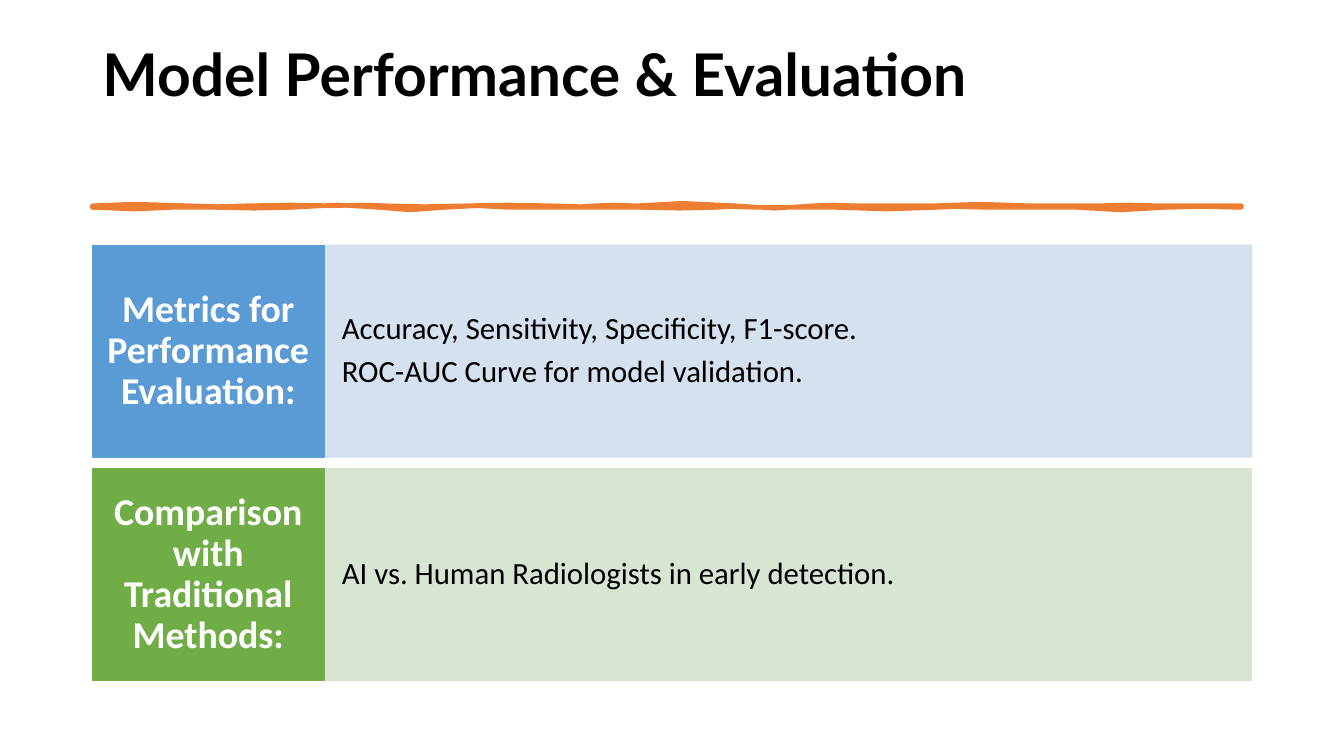
from lxml import etree
from pptx import Presentation
from pptx.dml.color import RGBColor
from pptx.enum.shapes import MSO_SHAPE
from pptx.enum.text import MSO_ANCHOR, MSO_AUTO_SIZE, PP_ALIGN
from pptx.oxml.ns import qn
from pptx.util import Pt

PX = 7620  # 120 to the inch
RECT = MSO_SHAPE.RECTANGLE
TOP, MIDDLE = MSO_ANCHOR.TOP, MSO_ANCHOR.MIDDLE
LEFT, CENTER = PP_ALIGN.LEFT, PP_ALIGN.CENTER
FIXED = MSO_AUTO_SIZE.NONE

THEME = {
    "ink": "000000", "paper": "FFFFFF", "rule": "ED7D31",
    "title": {"name": "Lato", "size": Pt(42), "bold": True},
    "head": {"name": "Calibri", "size": Pt(27), "bold": True},
    "item": {"name": "Calibri", "size": Pt(22), "bold": False},
}


def paint(shape, color, width, alpha=100):
    """Give a shape one colour for fill and line."""
    shape.shadow.inherit = False
    shape.fill.solid()
    shape.line.width = Pt(width)
    for part in (shape.fill.fore_color, shape.line.color):
        part.rgb = RGBColor.from_string(color)
    if alpha < 100:
        for node in shape._element.spPr.iter(qn("a:srgbClr")):
            etree.SubElement(node, qn("a:alpha")).set("val", str(alpha * 1000))


def write(shape, lines, font, color, align, anchor, inset, after=0):
    """Fill a shape with formatted paragraphs."""
    frame = shape.text_frame
    side, edge = inset
    form = {"word_wrap": True, "auto_size": FIXED, "vertical_anchor": anchor,
            "margin_left": side * PX, "margin_right": side * PX,
            "margin_top": edge * PX, "margin_bottom": edge * PX}
    for key, value in form.items():
        setattr(frame, key, value)
    frame.text = "\n".join(lines)
    for para in frame.paragraphs:
        para.alignment = align
        para.line_spacing = 0.9
        para.space_after = Pt(after)
        run = para.runs[0]
        for key, value in THEME[font].items():
            setattr(run.font, key, value)
        run.font.color.rgb = RGBColor.from_string(color)


deck = Presentation()
deck.slide_width, deck.slide_height = 1600 * PX, 900 * PX
slide = deck.slides.add_slide(deck.slide_layouts[5])
shapes = slide.shapes

# Title
title = shapes.title
for key, value in {"left": 110, "top": 48, "width": 1380, "height": 174}.items():
    setattr(title, key, value * PX)
write(title, ["Model Performance & Evaluation"], "title", THEME["ink"],
      LEFT, TOP, (12, 7))

# Hand-drawn rule: offsets of the wavy edge, drawn clockwise
WAVE = [
    (110, 245), (159, 243), (228, 245), (258, 246), (293, 245), (345, 244),
    (397, 245), (430, 244), (461, 245), (506, 246), (552, 245), (605, 244),
    (658, 245), (690, 246), (707, 245), (732, 244), (757, 245), (813, 242),
    (876, 245), (923, 248), (967, 245), (992, 244), (1018, 245), (1064, 245),
    (1109, 245), (1167, 243), (1228, 245), (1304, 245), (1344, 244),
    (1382, 245), (1428, 245), (1478, 245), (1478, 247), (1432, 246),
    (1387, 247), (1334, 250), (1282, 247), (1229, 247), (1177, 247),
    (1136, 246), (1114, 247), (1055, 249), (995, 247), (949, 247),
    (904, 247), (869, 246), (853, 247), (809, 248), (762, 247), (720, 247),
    (684, 247), (647, 247), (607, 247), (568, 245), (529, 247), (488, 250),
    (452, 247), (402, 244), (347, 247), (302, 248), (256, 247), (230, 247),
    (205, 247), (160, 249), (110, 247),
]
pen = shapes.build_freeform(*WAVE[0], scale=PX)
pen.add_line_segments(WAVE[1:], close=True)
rule = pen.convert_to_shape()
paint(rule, THEME["rule"], 3.25)
etree.SubElement(rule._element.spPr.find(qn("a:ln")), qn("a:round"))

# Rows: a coloured head and a pale panel
ROWS = [
    ("Metrics for Performance Evaluation:", "5B9BD5", "D2DEEF",
     ["Accuracy, Sensitivity, Specificity, F1-score.",
      "ROC-AUC Curve for model validation."]),
    ("Comparison with Traditional Methods:", "70AD47", "D5E3CF",
     ["AI vs. Human Radiologists in early detection."]),
]
EDGE, HEAD, PANEL, HIGH = 110, 276, 1104, 252
for row, (head, dark, pale, items) in enumerate(ROWS):
    y = 292 + row * 266
    panel = shapes.add_shape(RECT, (EDGE + HEAD) * PX, y * PX, PANEL * PX, HIGH * PX)
    paint(panel, pale, 1, 90)
    write(panel, items, "item", THEME["ink"], LEFT, MIDDLE, (21, 64), 7.5)
    label = shapes.add_shape(RECT, EDGE * PX, y * PX, HEAD * PX, HIGH * PX)
    paint(label, dark, 1)
    write(label, [head], "head", THEME["paper"], CENTER, MIDDLE, (14, 25))

deck.save("out.pptx")
